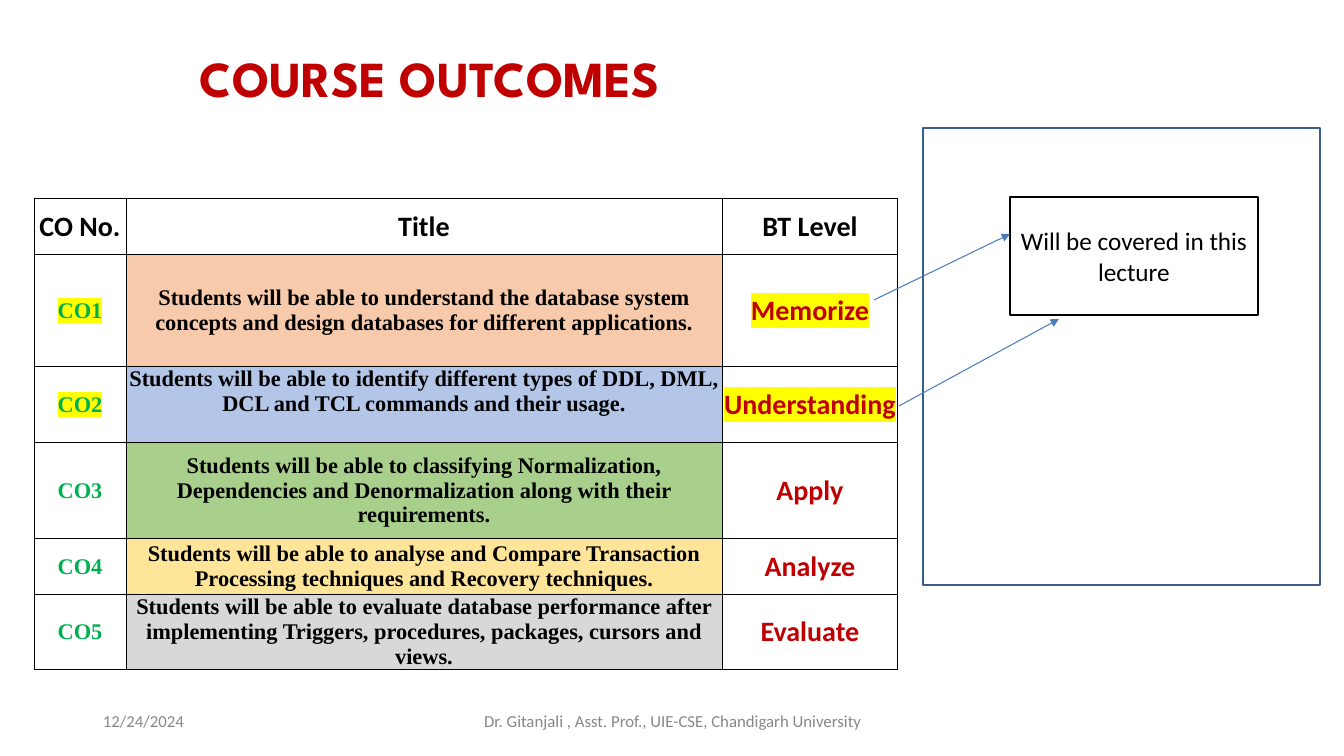
from typing import NamedTuple, Optional

from lxml import etree
from pptx import Presentation, util as u
from pptx.dml.color import RGBColor
from pptx.enum import shapes as s, text as t
from pptx.oxml import ns

BLACK = RGBColor(0, 0, 0)
WHITE = RGBColor(255, 255, 255)
RED = RGBColor(0xC0, 0, 0)
GREEN = RGBColor(0, 0xB0, 0x50)
YELLOW = RGBColor(255, 255, 0)
GRAY = RGBColor(0x88, 0x88, 0x88)
NAVY = RGBColor(0x39, 0x5E, 0x89)
BLUE = RGBColor(0x4A, 0x7D, 0xBA)
PEACH = RGBColor(0xF7, 0xCA, 0xAC)
SKY = RGBColor(0xB3, 0xC6, 0xE7)
LEAF = RGBColor(0xA8, 0xD0, 0x8C)
SAND = RGBColor(0xFE, 0xE5, 0x99)
SILVER = RGBColor(0xD8, 0xD8, 0xD8)

SANS, SERIF, HEAD = "Calibri", "Times New Roman", "League Spartan"
LEFT, MID = t.PP_ALIGN.LEFT, t.PP_ALIGN.CENTER
TOP, CENTER, LOW = (t.MSO_ANCHOR.TOP, t.MSO_ANCHOR.MIDDLE,
                    t.MSO_ANCHOR.BOTTOM)


class Box(NamedTuple):
    x: int
    y: int
    w: int
    h: int


class Goal(NamedTuple):
    code: str
    title: str
    level: str
    fill: RGBColor
    high: int
    mark: Optional[RGBColor] = None
    anchor: t.MSO_ANCHOR = CENTER


class Label(NamedTuple):
    box: Box
    words: str
    size: int
    color: RGBColor
    font: str = SANS
    bold: bool = False
    align: t.PP_ALIGN = LEFT
    anchor: t.MSO_ANCHOR = CENTER
    space: float = 1.0


class Arrow(NamedTuple):
    x1: int
    y1: int
    x2: int
    y2: int


COLS = (92, 596, 176)
HEADS = ("CO No.", "Title", "BT Level")
HEAD_H = 56
GOALS = (
    Goal("CO1", "Students will be able to understand the database system "
         "concepts and design databases for different applications.",
         "Memorize", PEACH, 112, YELLOW),
    Goal("CO2", "Students will be able to identify different types of DDL, "
         "DML, DCL and TCL commands and their usage.",
         "Understanding", SKY, 76, YELLOW, TOP),
    Goal("CO3", "Students will be able to classifying Normalization, "
         "Dependencies and Denormalization along with their requirements.",
         "Apply", LEAF, 96),
    Goal("CO4", "Students will be able to analyse and Compare Transaction "
         "Processing techniques and Recovery techniques.",
         "Analyze", SAND, 56),
    Goal("CO5", "Students will be able to evaluate database performance "
         "after implementing Triggers, procedures, packages, cursors and "
         "views.", "Evaluate", SILVER, 75),
)
LABELS = (
    Label(Box(190, 41, 869, 72), "COURSE OUTCOMES", 36, RED, HEAD, True,
          anchor=LOW, space=0.9),
    Label(Box(93, 701, 302, 40), "12/24/2024", 12, GRAY),
    Label(Box(446, 701, 454, 40),
          "Dr. Gitanjali , Asst. Prof., UIE-CSE, Chandigarh University",
          12, GRAY, align=MID),
)
PANEL = Box(923, 128, 397, 457)
NOTE = Box(1010, 197, 248, 118)
ARROWS = (Arrow(874, 300, 1010, 234), Arrow(899, 406, 1059, 319))


def px(n: int) -> u.Emu:
    return u.Emu(round(n * 914400 / 100.8))


def place(box: Box) -> list:
    return [px(n) for n in box]


def write(frame, words: str, *, size: int, color: RGBColor,
          font: str = SANS, bold: bool = False, align=MID,
          mark: Optional[RGBColor] = None, space: float = 1.0) -> None:
    par = frame.paragraphs[0]
    par.alignment, par.line_spacing = align, space
    run = par.add_run()
    run.text = words
    face = run.font
    face.size, face.bold, face.name = u.Pt(size), bold, font
    face.color.rgb = color
    if mark is not None:
        tint = etree.Element(ns.qn("a:highlight"))
        etree.SubElement(tint, ns.qn("a:srgbClr"), val=str(mark))
        run._r.rPr.find(ns.qn("a:solidFill")).addnext(tint)


def edge(cell) -> None:
    """Draw a thin black border on all four sides of a cell."""
    prop = cell._tc.get_or_add_tcPr()
    for side in ("lnL", "lnR", "lnT", "lnB"):
        line = etree.SubElement(prop, ns.qn(f"a:{side}"), w=str(u.Pt(0.75)))
        fill = etree.SubElement(line, ns.qn("a:solidFill"))
        etree.SubElement(fill, ns.qn("a:srgbClr"), val=str(BLACK))


def fill_cell(cell, words: str, *, fill: Optional[RGBColor] = None,
              anchor=CENTER, **style) -> None:
    cell.margin_left = cell.margin_right = cell.margin_top = px(1)
    cell.margin_bottom = 0
    cell.vertical_anchor = anchor
    edge(cell)
    if fill is None:
        cell.fill.background()
    else:
        cell.fill.solid()
        cell.fill.fore_color.rgb = fill
    write(cell.text_frame, words, bold=True, **style)


def add_grid(slide) -> None:
    highs = [HEAD_H] + [goal.high for goal in GOALS]
    area = Box(34, 198, sum(COLS), sum(highs))
    grid = slide.shapes.add_table(len(highs), len(COLS), *place(area)).table
    grid.first_row = grid.horz_banding = False
    for col, wide in zip(grid.columns, COLS):
        col.width = px(wide)
    for row, high in zip(grid.rows, highs):
        row.height = px(high)
    for i, head in enumerate(HEADS):
        fill_cell(grid.cell(0, i), head, size=20, color=BLACK)
    for i, goal in enumerate(GOALS, 1):
        fill_cell(grid.cell(i, 0), goal.code, size=16, color=GREEN,
                  font=SERIF, mark=goal.mark)
        fill_cell(grid.cell(i, 1), goal.title, size=16, color=BLACK,
                  font=SERIF, fill=goal.fill, anchor=goal.anchor)
        fill_cell(grid.cell(i, 2), goal.level, size=20, color=RED,
                  mark=goal.mark)


def add_label(slide, label: Label) -> None:
    frame = slide.shapes.add_textbox(*place(label.box)).text_frame
    frame.word_wrap, frame.vertical_anchor = True, label.anchor
    write(frame, label.words, size=label.size, color=label.color,
          font=label.font, bold=label.bold, align=label.align,
          space=label.space)


def add_rect(slide, box: Box, line: RGBColor,
             fill: Optional[RGBColor] = None):
    rect = slide.shapes.add_shape(s.MSO_SHAPE.RECTANGLE, *place(box))
    rect.shadow.inherit = False
    rect.line.color.rgb, rect.line.width = line, u.Pt(2)
    if fill is None:
        rect.fill.background()
    else:
        rect.fill.solid()
        rect.fill.fore_color.rgb = fill
    return rect


def add_arrow(slide, arrow: Arrow) -> None:
    link = slide.shapes.add_connector(s.MSO_CONNECTOR.STRAIGHT,
                                      *[px(n) for n in arrow])
    link.line.color.rgb, link.line.width = BLUE, u.Pt(0.75)
    etree.SubElement(link.line._get_or_add_ln(), ns.qn("a:tailEnd"),
                     type="triangle")
    etree.SubElement(link._element.spPr, ns.qn("a:effectLst"))


def main() -> None:
    deck = Presentation()
    deck.slide_width, deck.slide_height = px(1344), px(756)
    slide = deck.slides.add_slide(deck.slide_layouts[6])
    add_grid(slide)
    for label in LABELS:
        add_label(slide, label)
    add_rect(slide, PANEL, NAVY)
    note = add_rect(slide, NOTE, BLACK, WHITE).text_frame
    note.word_wrap, note.vertical_anchor = True, CENTER
    write(note, "Will be covered in this lecture", size=18, color=BLACK)
    for arrow in ARROWS:
        add_arrow(slide, arrow)
    deck.save("out.pptx")


if __name__ == "__main__":
    main()
